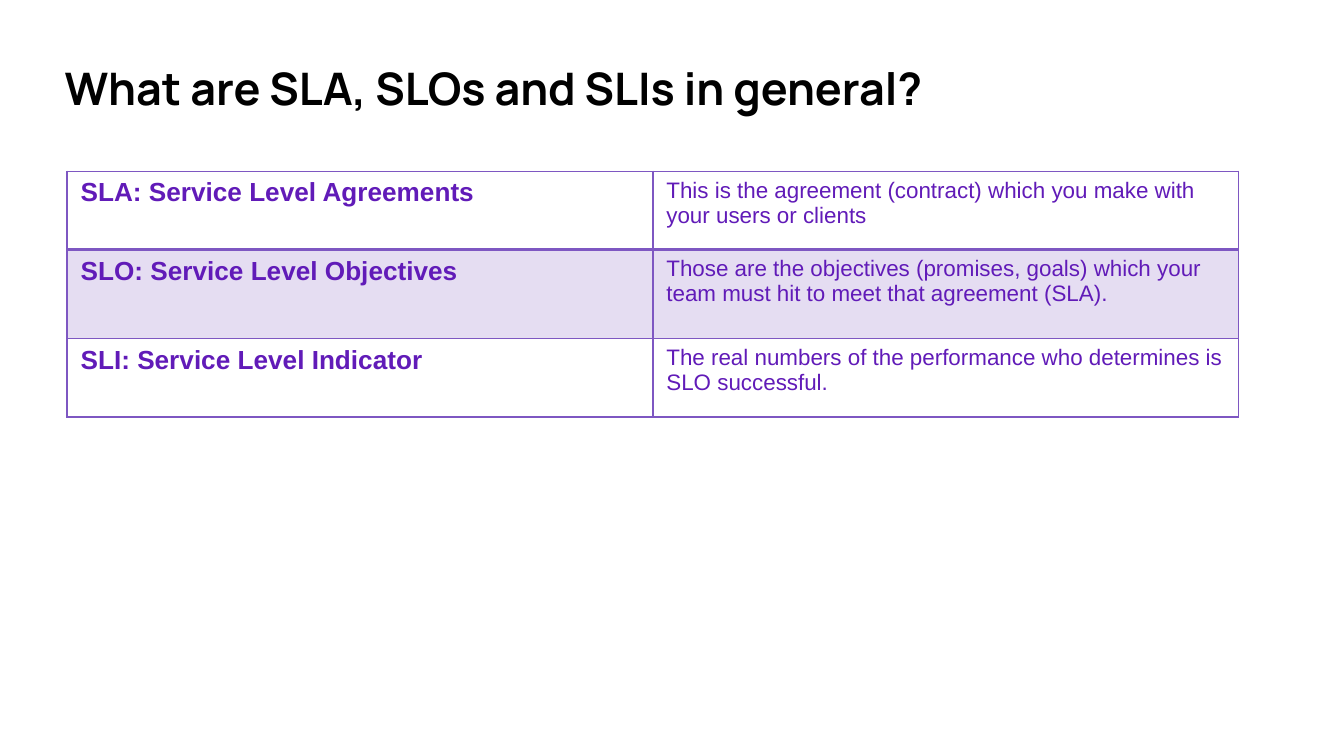
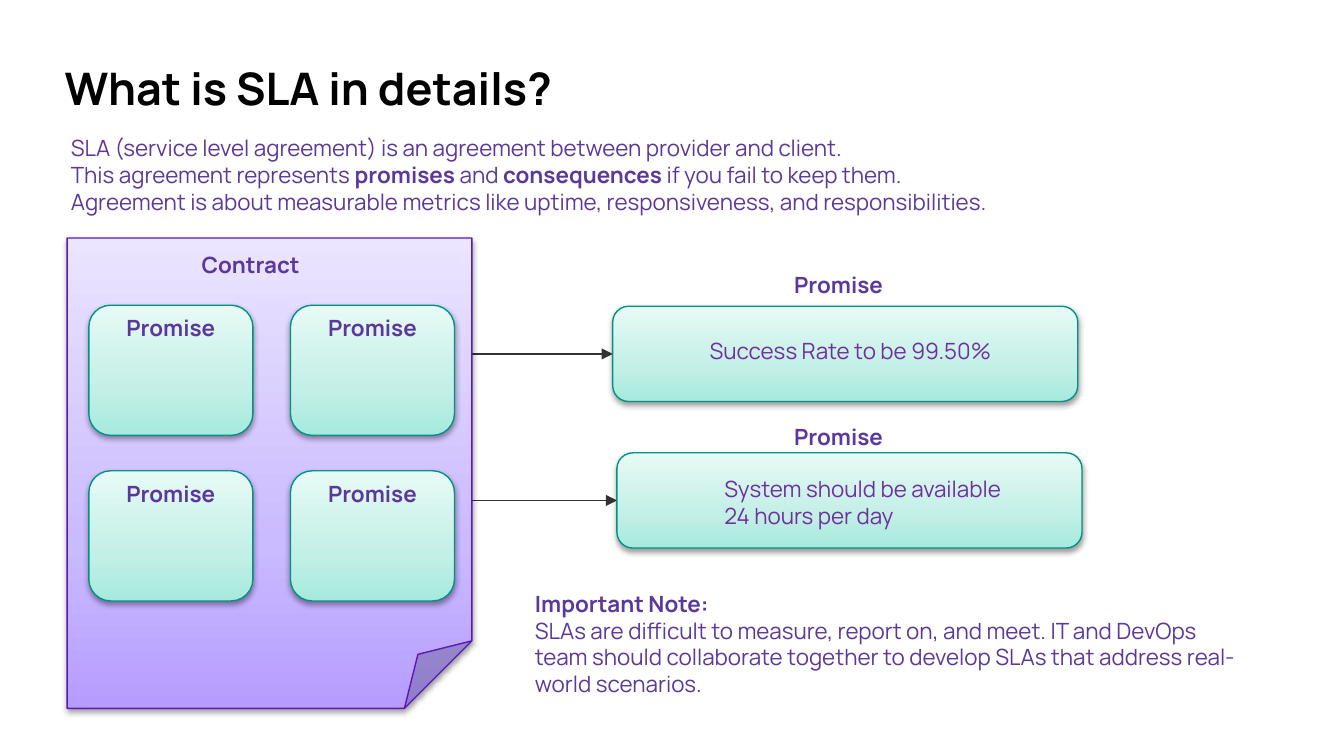
"""Build two slides that explain service level agreements."""
from lxml import etree
from pptx import Presentation
from pptx.dml.color import RGBColor
from pptx.enum.shapes import MSO_CONNECTOR, MSO_SHAPE
from pptx.enum.text import MSO_ANCHOR
from pptx.oxml import parse_xml
from pptx.oxml.ns import nsdecls, qn
from pptx.util import Cm, Pt

STRAIGHT = MSO_CONNECTOR.STRAIGHT
FOLDED_CORNER = MSO_SHAPE.FOLDED_CORNER
ROUNDED = MSO_SHAPE.FLOWCHART_ALTERNATE_PROCESS
TOP = MSO_ANCHOR.TOP
LEFT_SIDE = 1

COLORS = {
    "title": "000000", "body": "5C389B", "metric": "7030A0", "arrow": "323232",
    "table_text": "611BB8", "table_line": "7E57C2",
    "contract_line": "5E17B8", "promise_line": "009385", "shadow": "000000",
}
GRADIENTS = {
    "contract": ("B59DFF", "CABAFF", "EBE5FF"),
    "promise": ("A6EADD", "C2EFE6", "E7FAF6"),
}
STOPS = (0, 35, 100)
TITLE = {"size": Pt(24), "name": "Manrope", "bold": True}
BODY = {"size": Pt(12), "name": "Manrope", "bold": False}
STRONG = {**BODY, "bold": True}
TERM = {"size": Pt(14), "name": "Arial", "bold": True}
MEANING = {"size": Pt(12), "name": "Arial", "bold": False}


def write_text(frame, paragraphs, color):
    """Fill a text frame with paragraphs given as lists of (text, format) runs."""
    for index, runs in enumerate(paragraphs):
        paragraph = frame.paragraphs[0] if index == 0 else frame.add_paragraph()
        for text, format_values in runs:
            run = paragraph.add_run()
            run.text = text
            run.font.color.rgb = RGBColor.from_string(COLORS[color])
            for attribute, value in format_values.items():
                setattr(run.font, attribute, value)


def add_panel(slide, kind, preset, left, top, width, height):
    """Add a shape with a gradient fill, a thin outline and a soft shadow."""
    shape = slide.shapes.add_shape(preset, Cm(left), Cm(top), Cm(width), Cm(height))
    shape.line.color.rgb = RGBColor.from_string(COLORS[f"{kind}_line"])
    shape.line.width = Pt(0.75)
    stops = "".join(
        f'<a:gs pos="{stop * 1000}"><a:srgbClr val="{color}"/></a:gs>'
        for stop, color in zip(STOPS, GRADIENTS[kind])
    )
    properties = shape._element.spPr
    properties.find(qn("a:prstGeom")).addnext(parse_xml(
        f'<a:gradFill {nsdecls("a")} rotWithShape="1"><a:gsLst>{stops}</a:gsLst>'
        '<a:lin ang="16200000" scaled="0"/></a:gradFill>'
    ))
    properties.append(parse_xml(
        f'<a:effectLst {nsdecls("a")}><a:outerShdw blurRad="40000" dist="20000" '
        f'dir="5400000" rotWithShape="0"><a:srgbClr val="{COLORS["shadow"]}">'
        '<a:alpha val="38000"/></a:srgbClr></a:outerShdw></a:effectLst>'
    ))
    return shape


presentation = Presentation()
presentation.slide_width = Cm(25.4)
presentation.slide_height = Cm(14.29)
blank_layout = presentation.slide_layouts[6]
overview = presentation.slides.add_slide(blank_layout)
details = presentation.slides.add_slide(blank_layout)

definitions = [
    ("SLA: Service Level Agreements",
     "This is the agreement (contract) which you make with your users or clients"),
    ("SLO: Service Level Objectives",
     "Those are the objectives (promises, goals) which your team must hit to meet "
     "that agreement (SLA)."),
    ("SLI: Service Level Indicator",
     "The real numbers of the performance who determines is SLO successful."),
]
row_heights = (1.48, 1.68, 1.48)
table = overview.shapes.add_table(
    len(definitions), 2, Cm(1.27), Cm(3.24), Cm(22.14), Cm(sum(row_heights))
).table
table.first_row = False
table.horz_banding = False
for column in table.columns:
    column.width = Cm(11.07)
for row_index, definition in enumerate(definitions):
    table.rows[row_index].height = Cm(row_heights[row_index])
    for column_index, format_values in enumerate((TERM, MEANING)):
        cell = table.cell(row_index, column_index)
        write_text(cell.text_frame, [[(definition[column_index], format_values)]], "table_text")
        cell_properties = cell._tc.get_or_add_tcPr()
        for side in "LRTB":
            heavy = (row_index, side) in ((0, "B"), (1, "T"))
            cell_properties.append(parse_xml(
                f'<a:ln{side} {nsdecls("a")} w="{Pt(2 if heavy else 1)}"><a:solidFill>'
                f'<a:srgbClr val="{COLORS["table_line"]}"/></a:solidFill></a:ln{side}>'
            ))
        if row_index == 1:
            cell.fill.solid()
            cell.fill.fore_color.rgb = RGBColor.from_string(COLORS["table_line"])
            tint = cell_properties.find(qn("a:solidFill")).find(qn("a:srgbClr"))
            etree.SubElement(tint, qn("a:alpha")).set("val", "20000")
        else:
            cell.fill.background()

wide_boxes = [(11.58, 5.79), (11.66, 8.56)]
wide_width, wide_height = 8.79, 1.8
arrows = []
for left, top in wide_boxes:
    middle = Cm(top + wide_height / 2)
    arrow = details.shapes.add_connector(STRAIGHT, Cm(8.6), middle, Cm(left), middle)
    arrow.line.color.rgb = RGBColor.from_string(COLORS["arrow"])
    arrow.line.width = Pt(0.75)
    arrow.line._get_or_add_ln().append(parse_xml(f'<a:tailEnd {nsdecls("a")} type="triangle"/>'))
    etree.SubElement(arrow._element.spPr, qn("a:effectLst"))
    arrows.append(arrow)

add_panel(details, "contract", FOLDED_CORNER, 1.27, 4.5, 7.65, 8.89)
promise_label = [[("Promise", STRONG)]]
labels = [(14.76, 4.88), (14.76, 7.75)]
for row in range(2):
    for column in range(2):
        left, top = 1.68 + 3.81 * column, 5.77 + 3.13 * row
        add_panel(details, "promise", ROUNDED, left, top, 3.1, 2.46)
        labels.append((left + 0.46, top - 0.08))
for arrow, (left, top) in zip(arrows, wide_boxes):
    box = add_panel(details, "promise", ROUNDED, left, top, wide_width, wide_height)
    arrow.end_connect(box, LEFT_SIDE)

introduction = [
    [("SLA (service level agreement) is an agreement between provider and client.", BODY)],
    [("This agreement represents ", BODY), ("promises", STRONG), (" and ", BODY),
     ("consequences", STRONG), (" if you fail to keep them.", BODY)],
    [("Agreement is about measurable metrics like uptime, responsiveness, "
      "and responsibilities.", BODY)],
]
note = [
    [("Important Note:", STRONG)],
    [("SLAs are difficult to measure, report on, and meet. IT and DevOps team should "
      "collaborate together to develop SLAs that address real-world scenarios.", BODY)],
]
texts = [
    (overview, (0.97, 0.89, 23.67, 1.73),
     [[("What are SLA, SLOs and SLIs in general?", TITLE)]], "title"),
    (details, (0.97, 0.89, 23.67, 1.73), [[("What is SLA in details?", TITLE)]], "title"),
    (details, (1.09, 2.29, 24.08, 1.73), introduction, "body"),
    (details, (3.56, 4.5, 4.72, 1.19), [[("Contract", STRONG)]], "body"),
    (details, (13.16, 6.12, 6.76, 1.32), [[("Success Rate to be 99.50%", BODY)]], "metric"),
    (details, (13.44, 8.74, 6.22, 1.32),
     [[("System should be available 24 hours per day", BODY)]], "metric"),
    (details, (9.86, 10.9, 13.77, 2.49), note, "body"),
]
texts += [(details, (left, top, 3.1, 1.19), promise_label, "body") for left, top in labels]
frame_format = {
    "word_wrap": True, "vertical_anchor": TOP, "margin_left": Cm(0.25),
    "margin_right": Cm(0.25), "margin_top": Cm(0.25), "margin_bottom": Cm(0.25),
}
for slide, bounds, paragraphs, color in texts:
    frame = slide.shapes.add_textbox(*map(Cm, bounds)).text_frame
    for attribute, value in frame_format.items():
        setattr(frame, attribute, value)
    write_text(frame, paragraphs, color)

presentation.save("out.pptx")
